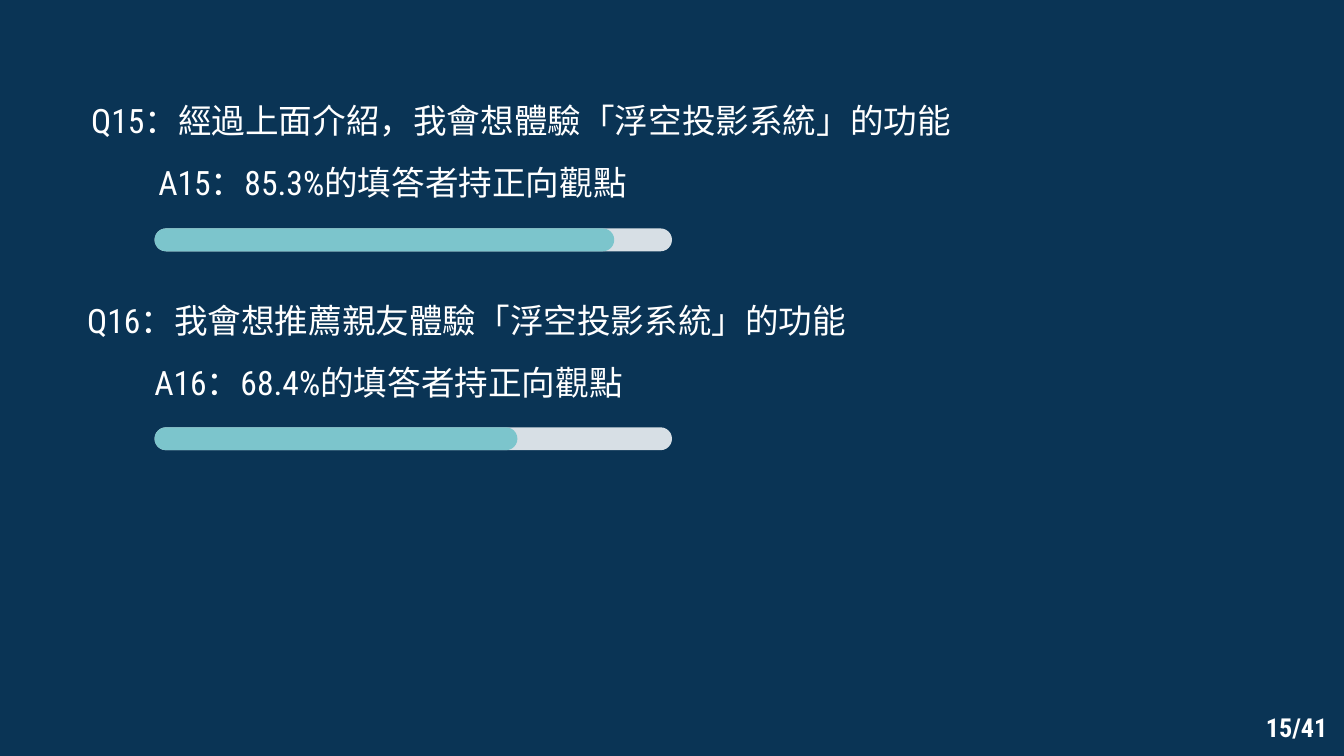
from dataclasses import dataclass

from pptx import Presentation
from pptx.dml.color import RGBColor
from pptx.enum.shapes import MSO_SHAPE
from pptx.util import Inches, Pt


@dataclass(frozen=True)
class Theme:
    background: RGBColor = RGBColor(0x0A, 0x34, 0x55)
    text: RGBColor = RGBColor(0xFF, 0xFF, 0xFF)
    track: RGBColor = RGBColor(0xD7, 0xDF, 0xE5)
    progress: RGBColor = RGBColor(0x7C, 0xC5, 0xCC)
    font: str = "Roboto Condensed"
    body_size: int = 18
    page_size: int = 14


THEME = Theme()

# question, answer, text box (left, top, width, height), progress length
SURVEY = [
    ("Q15：經過上面介紹，我會想體驗「浮空投影系統」的功能",
     "A15：85.3%的填答者持正向觀點", (0.58, 0.64, 9.13, 0.98), 3.42),
    ("Q16：我會想推薦親友體驗「浮空投影系統」的功能",
     "A16：68.4%的填答者持正向觀點", (0.55, 2.13, 8.9, 0.98), 2.7),
]
PAGE_NUMBER = "15/41"

BAR_LEFT, BAR_TOP, BAR_STEP = 1.15, 1.7, 1.48
BAR_LENGTH, BAR_HEIGHT = 3.85, 0.17


def add_text(slide, lines, box, size, bold=False):
    frame = slide.shapes.add_textbox(*map(Inches, box)).text_frame
    frame.word_wrap = True
    frame.margin_left = frame.margin_right = Inches(0.1)
    frame.margin_top = frame.margin_bottom = Inches(0.1)
    frame.text = "\n".join(lines)
    for paragraph in frame.paragraphs:
        font = paragraph.font
        font.name, font.size, font.bold = THEME.font, Pt(size), bold
        font.color.rgb = THEME.text
    return frame


def indent_answer(paragraph):
    paragraph.space_before = paragraph.space_after = Pt(12)
    properties = paragraph._p.get_or_add_pPr()
    properties.set("marL", "0")
    properties.set("indent", str(Inches(0.5)))


def add_progress_bar(slide, top, progress_length):
    group = slide.shapes.add_group_shape()
    for length, color in ((BAR_LENGTH, THEME.track),
                          (progress_length, THEME.progress)):
        bar = group.shapes.add_shape(
            MSO_SHAPE.ROUNDED_RECTANGLE, Inches(BAR_LEFT), Inches(top),
            Inches(length), Inches(BAR_HEIGHT))
        bar.adjustments[0] = 0.5
        bar.fill.solid()
        bar.fill.fore_color.rgb = color
        bar.line.fill.background()
        bar.shadow.inherit = False


def main():
    presentation = Presentation()
    presentation.slide_width = Inches(10)
    presentation.slide_height = Inches(10) * 9 // 16
    slide = presentation.slides.add_slide(presentation.slide_layouts[6])
    slide.background.fill.solid()
    slide.background.fill.fore_color.rgb = THEME.background

    for row, (question, answer, box, progress_length) in enumerate(SURVEY):
        frame = add_text(slide, (question, answer), box, THEME.body_size)
        indent_answer(frame.paragraphs[1])
        add_progress_bar(slide, BAR_TOP + row * BAR_STEP, progress_length)

    add_text(slide, [PAGE_NUMBER], (9.32, 5.19, 0.68, 0.44),
             THEME.page_size, bold=True)
    presentation.save("out.pptx")


if __name__ == "__main__":
    main()
